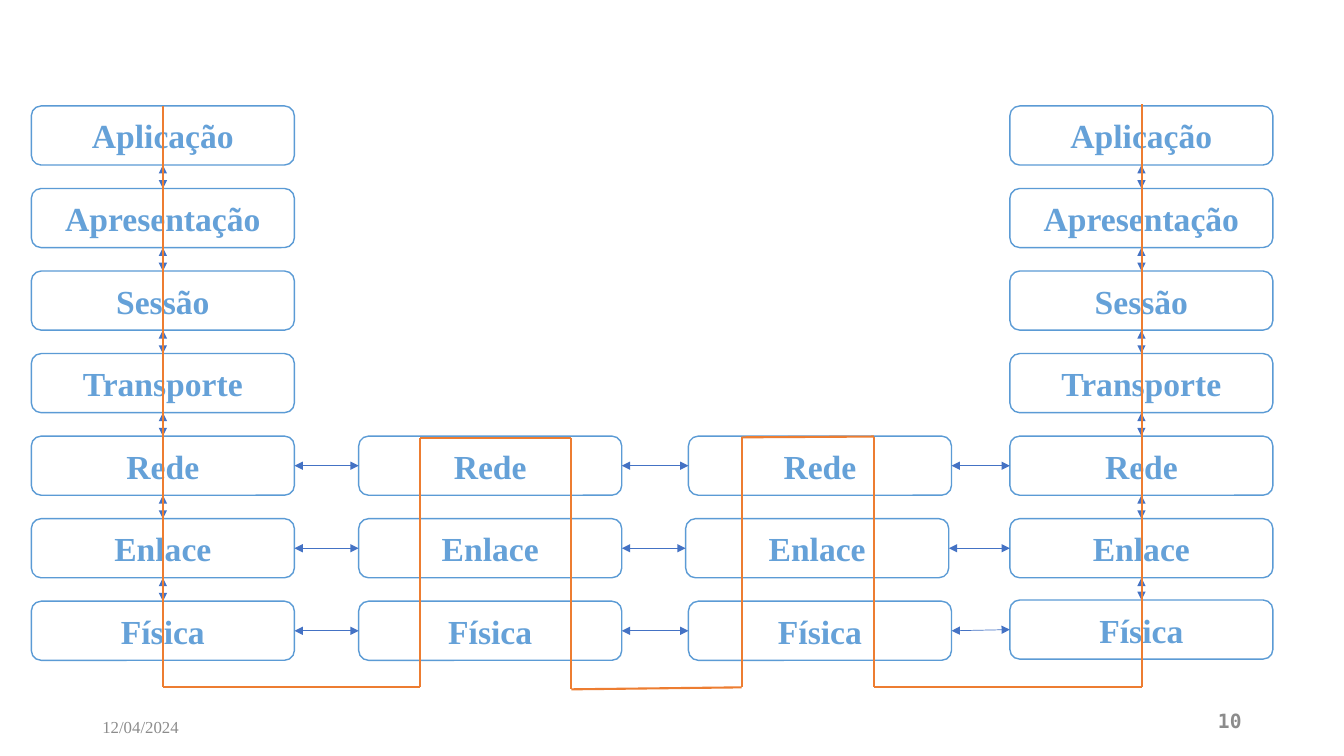
from itertools import pairwise

from lxml.etree import SubElement
from pptx import Presentation
from pptx.dml.color import RGBColor
from pptx.enum.shapes import MSO_CONNECTOR, MSO_SHAPE
from pptx.enum.text import MSO_ANCHOR, PP_ALIGN
from pptx.oxml.ns import qn
from pptx.util import Cm, Pt

COLORS = {"box": "FFFFFF", "border": "5B9BD5", "label": "65A1D8",
          "arrow": "4472C4", "route": "ED7D31", "footer": "8C8C8C"}
LAYERS = ["Aplicação", "Apresentação", "Sessão", "Transporte",
          "Rede", "Enlace", "Física"]
ROUTER_LAYERS = LAYERS[4:]
BOX_W, BOX_H = 6.63, 1.49
TOP, PITCH = 2.67, 2.08
COLUMNS = [("sender", 0.79, LAYERS), ("receiver", 25.45, LAYERS),
           ("router1", 9.04, ROUTER_LAYERS), ("router2", 17.35, ROUTER_LAYERS)]
NUDGES = {("router2", "Enlace"): (-0.07, 0), ("receiver", "Física"): (0, -0.03)}
HOPS = ["sender", "router1", "router2", "receiver"]
ROUTE = [(4.11, 2.67), (4.11, 17.32), (10.59, 17.32), (10.59, 11.03),
         (14.4, 11.03), (14.4, 17.37), (18.69, 17.32), (18.69, 11.02),
         (22.02, 11), (22.02, 17.32), (28.77, 17.32), (28.77, 2.62)]
LABEL_FONT = {"name": "Times New Roman", "size": Pt(24), "bold": True}
DATE_FONT = {"name": "Times New Roman", "size": Pt(12)}
NUMBER_FONT = {"name": "DejaVu Sans Mono", "size": Pt(14), "bold": True}


def rgb(name):
    """Return the named colour."""
    return RGBColor.from_string(COLORS[name])


def write(sp, text, font, color, align):
    """Put one formatted, vertically centred line of text in a shape."""
    tf = sp.text_frame
    tf.word_wrap = True
    tf.vertical_anchor = MSO_ANCHOR.MIDDLE
    p = tf.paragraphs[0]
    p.alignment = align
    r = p.add_run()
    r.text = text
    for key, value in font.items():
        setattr(r.font, key, value)
    r.font.color.rgb = rgb(color)


def add_layer(s, text, x, y):
    """Add one rounded layer box."""
    sp = s.shapes.add_shape(MSO_SHAPE.ROUNDED_RECTANGLE,
                            Cm(x), Cm(y), Cm(BOX_W), Cm(BOX_H))
    sp.shadow.inherit = False
    sp.fill.solid()
    sp.fill.fore_color.rgb = rgb("box")
    sp.line.color.rgb = rgb("border")
    sp.line.width = Pt(1)
    write(sp, text, LABEL_FONT, "label", PP_ALIGN.CENTER)
    return sp


def add_line(s, start, end, color, width):
    """Add a straight connector without shadow."""
    points = [Cm(v) for v in (*start, *end)]
    cxn = s.shapes.add_connector(MSO_CONNECTOR.STRAIGHT, *points)
    cxn.line.color.rgb = rgb(color)
    cxn.line.width = Pt(width)
    SubElement(cxn._element.spPr, qn("a:effectLst"))
    return cxn


def add_link(s, first, second, begin_site, end_site):
    """Join two boxes with a double-headed arrow."""
    cxn = add_line(s, (0, 0), (0, 0), "arrow", 0.5)
    cxn.begin_connect(first, begin_site)
    cxn.end_connect(second, end_site)
    ln = cxn.line._get_or_add_ln()
    for tag in ("a:headEnd", "a:tailEnd"):
        SubElement(ln, qn(tag), type="triangle")


def add_footer(s, text, x, y, font, align):
    """Add a footer text box."""
    sp = s.shapes.add_textbox(Cm(x), Cm(y), Cm(7.62), Cm(1.01))
    write(sp, text, font, "footer", align)


def main():
    """Build the layered network slide."""
    prs = Presentation()
    prs.slide_width, prs.slide_height = Cm(33.87), Cm(19.05)
    s = prs.slides.add_slide(prs.slide_layouts[6])
    add_footer(s, "12/04/2024", 2.33, 17.8, DATE_FONT, PP_ALIGN.LEFT)
    add_footer(s, "10", 23.92, 17.65, NUMBER_FONT, PP_ALIGN.RIGHT)

    boxes = {}
    for node, x, layers in COLUMNS:
        for layer in layers:
            dx, dy = NUDGES.get((node, layer), (0, 0))
            y = TOP + LAYERS.index(layer) * PITCH
            boxes[node, layer] = add_layer(s, layer, x + dx, y + dy)

    for left, right in pairwise(HOPS):
        for layer in ROUTER_LAYERS:
            add_link(s, boxes[left, layer], boxes[right, layer], 3, 1)
    for host in ("sender", "receiver"):
        for upper, lower in pairwise(LAYERS):
            add_link(s, boxes[host, upper], boxes[host, lower], 2, 0)
    for start, end in pairwise(ROUTE):
        add_line(s, start, end, "route", 1.5)
    prs.save("out.pptx")


if __name__ == "__main__":
    main()
